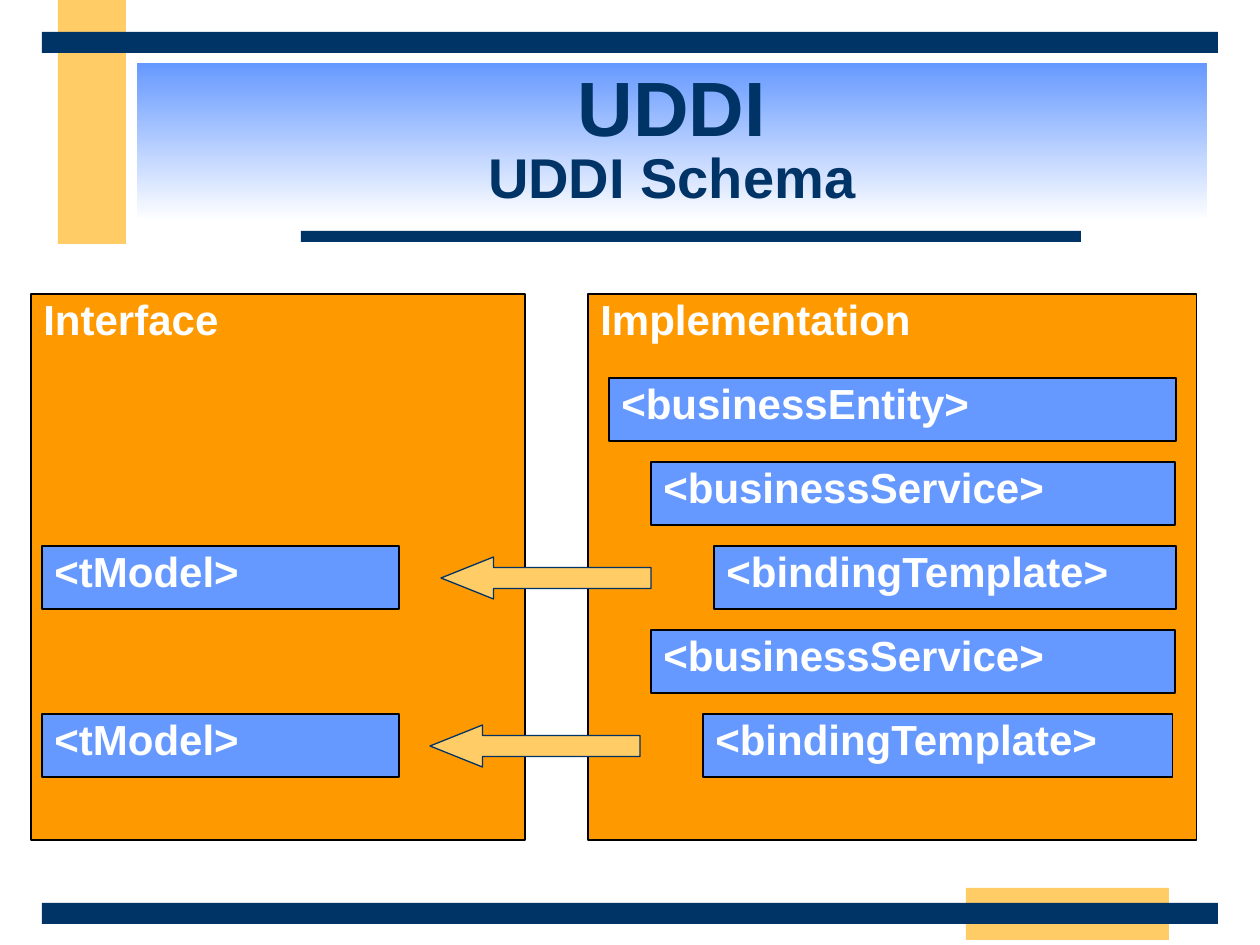
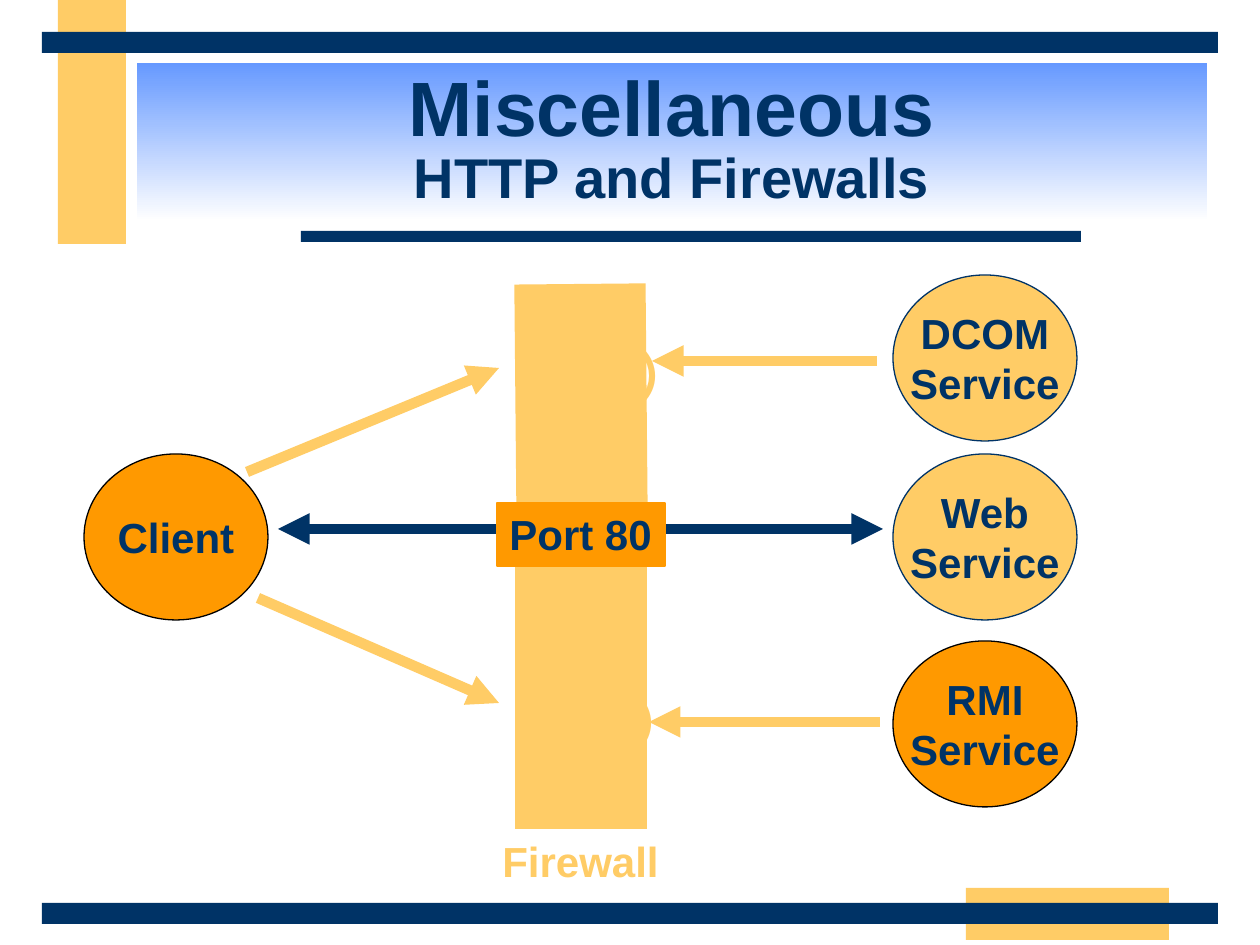
"""Build two slides: the UDDI schema, and HTTP with firewalls."""
from lxml import etree
from pptx import Presentation
from pptx.dml.color import RGBColor
from pptx.enum.shapes import MSO_CONNECTOR, MSO_SHAPE
from pptx.enum.text import MSO_ANCHOR, MSO_AUTO_SIZE, PP_ALIGN
from pptx.oxml.ns import qn
from pptx.util import Pt

PX = 914400 // 126
NAVY = RGBColor(0x00, 0x33, 0x66)
AMBER = RGBColor(0xFF, 0xCC, 0x66)
ORANGE = RGBColor(0xFF, 0x99, 0x00)
BLUE = RGBColor(0x66, 0x99, 0xFF)
WHITE = RGBColor(0xFF, 0xFF, 0xFF)
BLACK = RGBColor(0x00, 0x00, 0x00)
RECT, ELLIPSE, LEFT_ARROW = MSO_SHAPE.RECTANGLE, MSO_SHAPE.OVAL, MSO_SHAPE.LEFT_ARROW
STRAIGHT = MSO_CONNECTOR.STRAIGHT
TOP, MIDDLE = MSO_ANCHOR.TOP, MSO_ANCHOR.MIDDLE
LEFT, CENTER = PP_ALIGN.LEFT, PP_ALIGN.CENTER
NO_FIT, GROW = MSO_AUTO_SIZE.NONE, MSO_AUTO_SIZE.SHAPE_TO_FIT_TEXT
FONT = "Arial"


def add_shape(s, kind, x, y, w, h, fill, line=None):
    shape = s.shapes.add_shape(kind, x * PX, y * PX, w * PX, h * PX)
    shape.shadow.inherit = False
    shape.fill.solid()
    shape.fill.fore_color.rgb = fill
    if line is None:
        shape.line.fill.background()
    else:
        shape.line.color.rgb = line
        shape.line.width = Pt(0.74)
    return shape


def set_text(shape, text, size=24, color=NAVY, align=LEFT, anchor=TOP, wrap=False, fit=NO_FIT, inset_y=6):
    tf = shape.text_frame
    tf.word_wrap = wrap
    tf.auto_size = fit
    tf.vertical_anchor = anchor
    tf.margin_left = tf.margin_right = Pt(7.2)
    tf.margin_top = tf.margin_bottom = inset_y * PX
    for i, line in enumerate(text.split("\n")):
        p = tf.paragraphs[0] if i == 0 else tf.add_paragraph()
        p.alignment = align
        r = p.add_run()
        r.text = line
        r.font.name = FONT
        r.font.size = Pt(size)
        r.font.bold = True
        r.font.color.rgb = color


prs = Presentation()
prs.slide_width, prs.slide_height = 1260 * PX, 945 * PX
layout = prs.slide_layouts[5]

slides = []
for heading, subheading in (("UDDI", "UDDI Schema"), ("Miscellaneous", "HTTP and Firewalls")):
    s = prs.slides.add_slide(layout)
    slides.append(s)
    title = s.shapes.title
    title.left, title.top, title.width, title.height = 137 * PX, 63 * PX, 1070 * PX, 158 * PX
    title.fill.gradient()
    title.fill.gradient_angle = 270
    for stop, color in zip(title.fill.gradient_stops, (BLUE, WHITE)):
        stop.color.rgb = color
    tf = title.text_frame
    tf.auto_size = NO_FIT
    tf.vertical_anchor = MIDDLE
    p = tf.paragraphs[0]
    p.alignment = CENTER
    p.line_spacing = 0.85
    for text, size in ((heading, 44), (subheading, 32)):
        if p.runs:
            p.add_line_break()
        r = p.add_run()
        r.text = text
        r.font.name = FONT
        r.font.size = Pt(size)
        r.font.bold = True
        r.font.color.rgb = NAVY
schema, firewall = slides

for x, y, w, h, fill in (
    (58, 0, 68, 244, AMBER),
    (966, 888, 203, 52, AMBER),
    (301, 231, 780, 11, NAVY),
    (42, 903, 1176, 21, NAVY),
    (42, 32, 1176, 21, NAVY),
):
    band = add_shape(schema, RECT, x, y, w, h, fill)
    layout.shapes.element.append(band.element)

for name, x, w in (("Interface", 31, 494), ("Implementation", 588, 609)):
    panel = add_shape(schema, RECT, x, 294, w, 546, ORANGE, BLACK)
    set_text(panel, name, color=WHITE, wrap=True, inset_y=0)

ROW_TOP, ROW_STEP, ROW_HEIGHT = 378, 84, 63
for name, row, x, w in (
    ("<businessEntity>", 0, 609, 567),
    ("<businessService>", 1, 651, 524),
    ("<bindingTemplate>", 2, 714, 462),
    ("<businessService>", 3, 651, 524),
    ("<bindingTemplate>", 4, 703, 470),
    ("<tModel>", 2, 42, 357),
    ("<tModel>", 4, 42, 357),
):
    element = add_shape(schema, RECT, x, ROW_TOP + row * ROW_STEP, w, ROW_HEIGHT, BLUE, BLACK)
    set_text(element, name, color=WHITE, wrap=True, inset_y=0)

for row, x in ((2, 441), (4, 430)):
    arrow = add_shape(schema, LEFT_ARROW, x, ROW_TOP + row * ROW_STEP + 11, 210, 42, AMBER, NAVY)
    arrow.adjustments[0] = 0.5
    arrow.adjustments[1] = 1.25

for x1, y1, x2, y2, color, width, ends in (
    (580, 284, 582, 507, AMBER, 75, ()),
    (581, 567, 581, 829, AMBER, 75, ()),
    (247, 472, 499, 368, AMBER, 6, ("tailEnd",)),
    (258, 598, 499, 703, AMBER, 6, ("tailEnd",)),
    (880, 722, 649, 722, AMBER, 6, ("tailEnd",)),
    (877, 361, 652, 361, AMBER, 6, ("tailEnd",)),
    (278, 529, 883, 529, NAVY, 6, ("headEnd", "tailEnd")),
):
    c = firewall.shapes.add_connector(STRAIGHT, x1 * PX, y1 * PX, x2 * PX, y2 * PX)
    c.line.color.rgb = color
    c.line.width = Pt(width)
    spPr = c.element.spPr
    for end in ends:
        etree.SubElement(spPr.find(qn("a:ln")), qn(f"a:{end}"), type="triangle")
    etree.SubElement(spPr, qn("a:effectLst"))

for name, x, y, fill, line in (
    ("Client", 84, 454, ORANGE, BLACK),
    ("DCOM\nService", 893, 275, AMBER, NAVY),
    ("Web\nService", 893, 454, AMBER, NAVY),
    ("RMI\nService", 893, 641, ORANGE, BLACK),
):
    node = add_shape(firewall, ELLIPSE, x, y, 184, 166, fill, line)
    set_text(node, name, align=CENTER, anchor=MIDDLE)

for text, x, y, w, h, size in (
    ("⊗", 553, 301, 63, 139, 60),
    ("⊗", 549, 648, 63, 139, 60),
    ("Firewall", 490, 830, 200, 63, 24),
):
    label = firewall.shapes.add_textbox(x * PX, y * PX, w * PX, h * PX)
    set_text(label, text, size=size, color=AMBER, wrap=text == "Firewall", fit=GROW)

port = add_shape(firewall, RECT, 497, 503, 168, 63, ORANGE, ORANGE)
set_text(port, "Port 80", fit=GROW)

prs.save("out.pptx")
